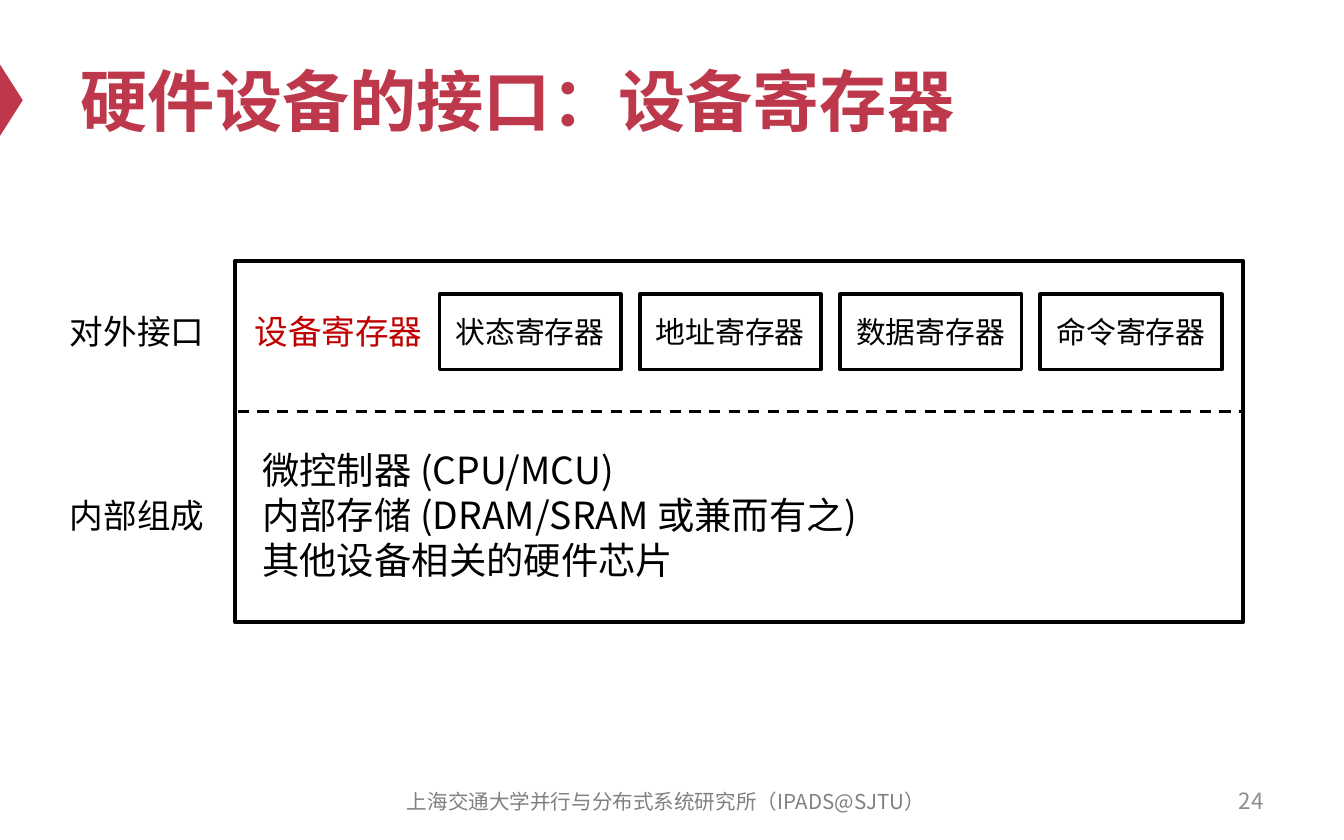
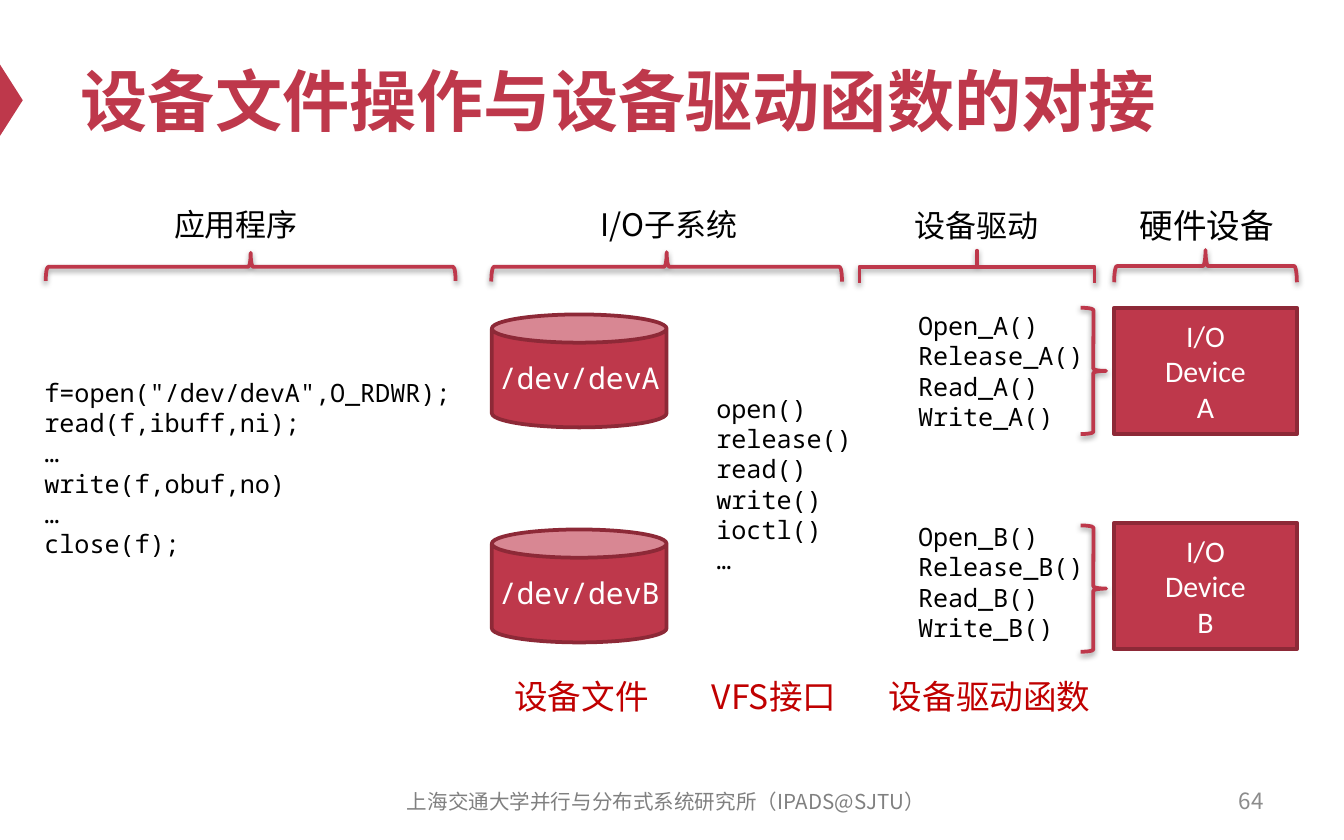
import pptx
import pptx.util
import pptx.dml.color
import pptx.enum.dml
import pptx.enum.shapes
import pptx.enum.text
import pptx.oxml
import pptx.oxml.ns

Pt = pptx.util.Pt
SHAPE = pptx.enum.shapes.MSO_SHAPE
ALIGN = pptx.enum.text.PP_ALIGN
MIDDLE = pptx.enum.text.MSO_ANCHOR.MIDDLE

COLORS = {"brand": "BE384B", "edge": "8D2937", "red": "C00000", "black": "000000",
          "white": "FFFFFF", "footer": "808080", "number": "8C8C8C"}
SANS, MONO = "Noto Sans CJK SC", "Noto Sans Mono"
CODE = {"size": 13.5, "font": MONO, "align": ALIGN.LEFT, "spacing": 16.2}

# Content
FOOTER = "上海交通大学并行与分布式系统研究所（IPADS@SJTU）"
REGISTER_SLIDE = {
    "title": "硬件设备的接口：设备寄存器",
    "number": "24",
    "registers": ["状态寄存器", "地址寄存器", "数据寄存器", "命令寄存器"],
    "internals": ["微控制器 (CPU/MCU)", "内部存储 (DRAM/SRAM 或兼而有之)", "其他设备相关的硬件芯片"],
    # text, left, top, width, color
    "labels": [("设备寄存器", 127.4, 157, 108, "red"),
               ("对外接口", 25.2, 157, 96.5, "black"),
               ("内部组成", 25.2, 255.6, 96.5, "black")],
}
DRIVER_SLIDE = {
    "title": "设备文件操作与设备驱动函数的对接",
    "number": "64",
    # heading, size, heading box, brace box
    "columns": [
        ("应用程序", 16.6, (65.5, 110.9, 121.7, 18), (24.5, 135.4, 219.6, 15.1)),
        ("I/O子系统", 16.6, (297.4, 110.9, 121.7, 18), (263.2, 135, 187.9, 15.8)),
        ("设备驱动", 16.6, (462.2, 111.6, 121.7, 18), (460.4, 134.3, 126, 17.3)),
        ("硬件设备", 18, (608.4, 110.2, 76.3, 20.2), (596.9, 133.9, 97.9, 17.3)),
    ],
    "square_brace": "设备驱动",
    # device, then tops of its box, brace, functions and file
    "devices": [("A", 164.9, 164.9, 162.7, 168.5), ("B", 280.1, 281.5, 275.8, 283.7)],
    "functions": ["Open", "Release", "Read", "Write"],
    "application": ['f=open("/dev/devA",O_RDWR);', "read(f,ibuff,ni);", "…",
                    "write(f,obuf,no)", "…", "close(f);"],
    "vfs": ["open()", "release()", "read()", "write()", "ioctl()", "…"],
    # text, left, width
    "labels": [("设备文件", 268.6, 85.7), ("VFS接口", 367.9, 93.6), ("设备驱动函数", 469.4, 121.7)],
}


def rgb(name):
    return pptx.dml.color.RGBColor.from_string(COLORS[name])


def place(item, box):
    item.left, item.top, item.width, item.height = (Pt(value) for value in box)


def add_effects(item, inner=""):
    namespace = pptx.oxml.ns.nsdecls("a")
    effects = pptx.oxml.parse_xml(f"<a:effectLst {namespace}>{inner}</a:effectLst>")
    item._element.spPr.append(effects)


def write(item, lines, size, color="black", font=SANS, align=ALIGN.CENTER,
          bold=False, inset=None, wrap=True, spacing=None, plain=False):
    """Fill a shape, text box or placeholder with one paragraph per line."""
    frame = item.text_frame
    frame.word_wrap = wrap
    frame.vertical_anchor = MIDDLE
    frame.auto_size = pptx.enum.text.MSO_AUTO_SIZE.NONE
    if inset is not None:
        frame.margin_left = frame.margin_right = Pt(inset)
        frame.margin_top = frame.margin_bottom = Pt(inset)
    for index, line in enumerate(lines):
        para = frame.paragraphs[0] if index == 0 else frame.add_paragraph()
        para.alignment = align
        if spacing:
            para.line_spacing = Pt(spacing)
        if plain:
            para.space_before = Pt(0)
            properties = para._p.get_or_add_pPr()
            properties.set("marL", "0")
            properties.set("indent", "0")
            properties.append(properties.makeelement(pptx.oxml.ns.qn("a:buNone"), {}))
        span = para.add_run()
        span.text = line
        span.font.size, span.font.bold, span.font.name = Pt(size), bold, font
        span.font.color.rgb = rgb(color)
        properties = span._r.get_or_add_rPr()
        east_asian = properties.makeelement(
            pptx.oxml.ns.qn("a:ea"), {"typeface": font if font == MONO else SANS})
        properties.find(pptx.oxml.ns.qn("a:latin")).addnext(east_asian)


def add_text(page, box, lines, size, **style):
    item = page.shapes.add_textbox(*(Pt(value) for value in box))
    write(item, lines, size, **style)


def add_shape(page, kind, box, fill=None, line=None):
    item = page.shapes.add_shape(kind, *(Pt(value) for value in box))
    item.shadow.inherit = False
    if fill:
        item.fill.solid()
        item.fill.fore_color.rgb = rgb(fill)
    else:
        item.fill.background()
    if line:
        item.line.color.rgb = rgb(line)
        item.line.width = Pt(2)
    else:
        item.line.fill.background()
    return item


def turned(box):
    """Frame that covers the given box after a quarter turn."""
    left, top, width, height = box
    shift = (width - height) / 2
    return left + shift, top - shift, height, width


def add_brace(page, box, upward=False, square=False):
    brace = add_shape(page, SHAPE.RIGHT_BRACE, turned(box) if upward else box, line="brand")
    if upward:
        brace.rotation = 270
    if square:
        brace.adjustments[0] = 0
    brace.shadow.inherit = True
    add_effects(brace, '<a:outerShdw blurRad="40000" dist="20000" dir="5400000" rotWithShape="0">'
                       '<a:srgbClr val="000000"><a:alpha val="38000"/></a:srgbClr></a:outerShdw>')


def start_page(deck, layout, content):
    """Slide with the shared marker, title, number and footer."""
    page = deck.slides.add_slide(deck.slide_layouts[layout])
    marker = add_shape(page, SHAPE.ISOSCELES_TRIANGLE, turned((0, 34.6, 12.2, 38.2)), fill="brand")
    marker.rotation = 90
    place(page.shapes.title, (36, 18, 648, 70.6))
    write(page.shapes.title, [content["title"]], 36, color="brand", align=ALIGN.LEFT, bold=True)
    add_text(page, (516.2, 416.9, 167.8, 23.8), [content["number"]], 12,
             color="number", align=ALIGN.RIGHT)
    add_text(page, (200.9, 417.6, 311.8, 23.8), [FOOTER], 11, color="footer")
    return page


def build_register_slide(deck):
    content = REGISTER_SLIDE
    page = start_page(deck, 1, content)

    # Device outline and its divider
    add_shape(page, SHAPE.RECTANGLE, (126, 139.7, 540, 193.7), line="black")
    divider = page.shapes.add_connector(pptx.enum.shapes.MSO_CONNECTOR.STRAIGHT,
                                        Pt(127.4), Pt(220.3), Pt(666), Pt(220.3))
    divider.line.color.rgb = rgb("black")
    divider.line.width = Pt(1.5)
    divider.line.dash_style = pptx.enum.dml.MSO_LINE.DASH
    add_effects(divider)

    # Registers
    for index, name in enumerate(content["registers"]):
        register = add_shape(page, SHAPE.RECTANGLE,
                             (235.4 + 107.3 * index, 157.7, 97.2, 40.3), line="black")
        write(register, [name], 16)
    for label, left, top, width, color in content["labels"]:
        add_text(page, (left, top, width, 40.3), [label], 18, color=color)

    # Internal parts
    body = page.placeholders[1]
    place(body, (133.2, 229, 521.3, 93.6))
    write(body, content["internals"], 20, align=ALIGN.LEFT, spacing=24, plain=True)


def build_driver_slide(deck):
    content = DRIVER_SLIDE
    page = start_page(deck, 5, content)

    # Column headings
    for heading, size, heading_box, brace_box in content["columns"]:
        add_text(page, heading_box, [heading], size, inset=0, wrap=False)
        add_brace(page, brace_box, upward=True, square=heading == content["square_brace"])

    # Device files, driver functions and devices
    for device, box_top, brace_top, code_top, file_top in content["devices"]:
        hardware = add_shape(page, SHAPE.RECTANGLE, (596.9, box_top, 97.9, 67.7), "brand", "edge")
        write(hardware, ["I/O", "Device", device], 16, color="white", font="Calibri", wrap=False)
        functions = [f"{name}_{device}()" for name in content["functions"]]
        add_text(page, (491.8, code_top, 54, 72), functions, inset=0, wrap=False, **CODE)
        add_brace(page, (578.9, brace_top, 13.7, 67.7))
        device_file = add_shape(page, SHAPE.CAN, (263.5, file_top, 93.6, 60.5), "brand", "edge")
        write(device_file, [f"/dev/dev{device}"], 16, color="white", font=MONO,
              inset=0, wrap=False)

    # Application code and VFS calls
    add_text(page, (23.8, 201.6, 221.8, 98), content["application"], inset=0, wrap=False, **CODE)
    add_text(page, (383.8, 209.5, 79.9, 99.4), content["vfs"], inset=0, wrap=False, **CODE)

    # Captions
    for label, left, width in content["labels"]:
        add_text(page, (left, 362.2, width, 21.6), [label], 18, color="red", inset=0)


def main():
    deck = pptx.Presentation()
    deck.slide_width, deck.slide_height = Pt(720), Pt(450)
    build_register_slide(deck)
    build_driver_slide(deck)
    deck.save("out.pptx")


if __name__ == "__main__":
    main()
